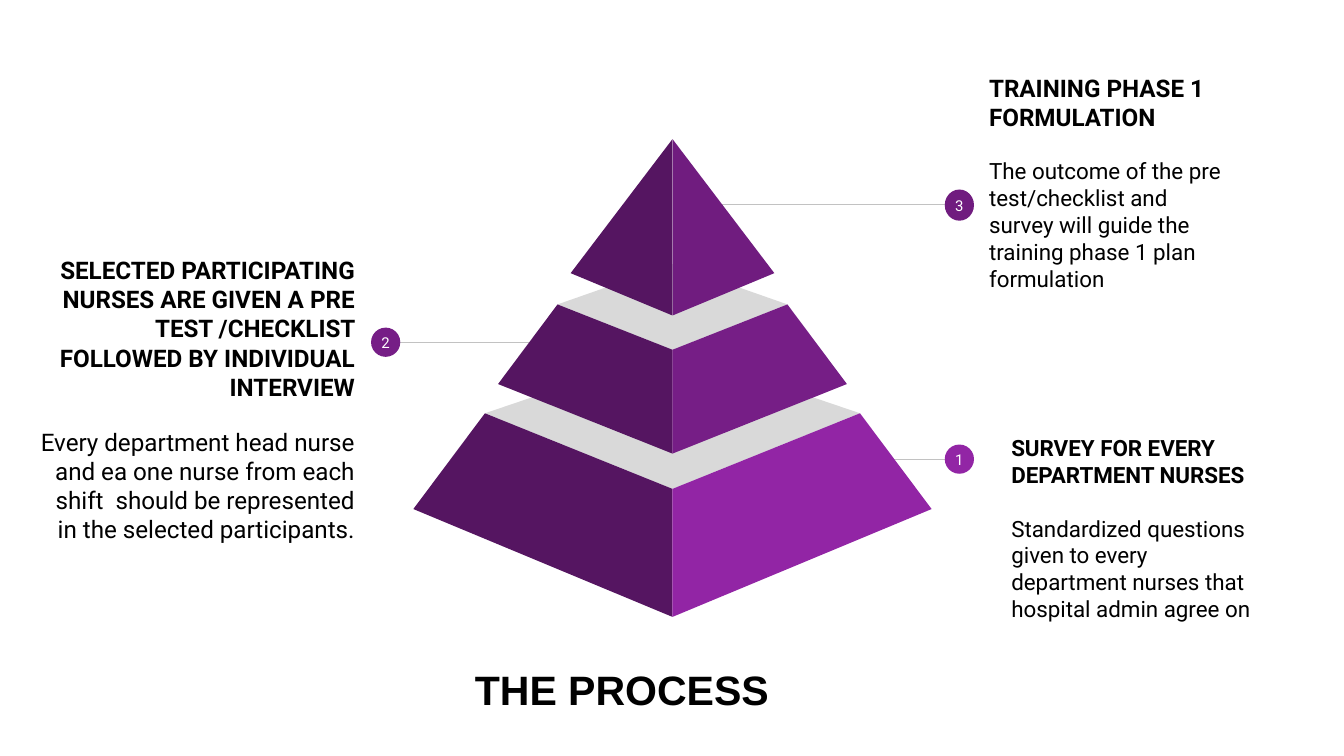
from pptx import Presentation
from pptx.dml.color import RGBColor
from pptx.enum.shapes import MSO_CONNECTOR, MSO_SHAPE
from pptx.enum.text import MSO_ANCHOR, MSO_AUTO_SIZE, PP_ALIGN
from pptx.util import Pt
from lxml import etree

LEFT, RIGHT, MID = PP_ALIGN.LEFT, PP_ALIGN.RIGHT, PP_ALIGN.CENTER
TOP, CENTER = MSO_ANCHOR.TOP, MSO_ANCHOR.MIDDLE
OVAL, STRAIGHT = MSO_SHAPE.OVAL, MSO_CONNECTOR.STRAIGHT
PX = 9144  # 100 px to the inch

COLORS = {
    "ink": "000000", "white": "FFFFFF", "rule": "C2C2C2", "lid": "D9D9D9",
    "dark": "551561", "low": "9225A5", "middle": "761E86", "high": "701C7F",
}

TITLE = "THE PROCESS"
TITLE_BOX = (458, 646, 360, 76)

STEPS = [
    {"num": "1", "color": "low", "line": (880, 965, 456),
     "dot": (937, 441, 29, 29), "box": (990, 423, 272, 202),
     "align": LEFT, "sizes": (16, 16),
     "head": "SURVEY FOR EVERY DEPARTMENT NURSES",
     "body": "Standardized questions given to every department nurses that "
             "hospital admin agree on"},
    {"num": "2", "color": "middle", "line": (529, 377, 340),
     "dot": (368, 325, 29, 29), "box": (20, 239, 345, 315),
     "align": RIGHT, "sizes": (17.3, 17.3),
     "head": "SELECTED PARTICIPATING NURSES ARE GIVEN A PRE TEST /CHECKLIST "
             "FOLLOWED BY INDIVIDUAL INTERVIEW",
     "body": "Every department head nurse and ea one nurse from each shift  "
             "should be represented in the selected participants."},
    {"num": "3", "color": "high", "line": (716, 966, 203),
     "dot": (937, 188, 29, 31), "box": (968, 53, 272, 256),
     "align": LEFT, "sizes": (17.3, 16),
     "head": "TRAINING PHASE 1 FORMULATION",
     "body": "The outcome of the pre test/checklist and survey will guide the "
             "training phase 1 plan formulation"},
]

# Half widths are measured from the axis; the rest are heights on the slide.
AXIS = 667
TIERS = [
    {"color": "low", "back": 347, "brim": (186, 410), "front": 485,
     "base": (257, 505), "foot": 612},
    {"color": "middle", "back": 262, "brim": (114, 302), "front": 347,
     "base": (173, 381), "foot": 450},
    {"color": "high", "back": None, "brim": (0, 138), "front": 138,
     "base": (101, 271), "foot": 313},
]


def rgb(name):
    return RGBColor.from_string(COLORS[name])


def emu(box):
    return [n * PX for n in box]


def style(obj, **values):
    for name, value in values.items():
        setattr(obj, name, value)


def paint(shape, color):
    shape.shadow.inherit = False
    shape.fill.solid()
    shape.fill.fore_color.rgb = rgb(color)
    shape.line.fill.background()


def set_frame(frame, inset, anchor):
    pad = inset * PX
    style(frame, word_wrap=True, auto_size=MSO_AUTO_SIZE.NONE,
          vertical_anchor=anchor, margin_left=pad, margin_right=pad,
          margin_top=pad, margin_bottom=pad)


def write(para, text, size, align, color="ink", bold=False, name="Roboto"):
    run = para.add_run()
    run.text = text
    para.alignment = align
    style(run.font, size=Pt(size), bold=bold, name=name)
    run.font.color.rgb = rgb(color)


def add_face(slide, points, color):
    pen = slide.shapes.build_freeform(*points[0], scale=PX)
    pen.add_line_segments(points[1:], close=True)
    paint(pen.convert_to_shape(), color)


def add_step(slide, step):
    start, end, y = step["line"]
    rule = slide.shapes.add_connector(STRAIGHT, *emu((start, y, end, y)))
    rule.line.color.rgb = rgb("rule")
    rule.line.width = Pt(0.75)
    props = rule._element.spPr
    etree.SubElement(props, props.tag.replace("}spPr", "}effectLst").replace(
        "presentationml", "drawingml").replace("2006/main", "2006/main"))

    frame = slide.shapes.add_textbox(*emu(step["box"])).text_frame
    set_frame(frame, 13, CENTER)
    big, small = step["sizes"]
    head = frame.paragraphs[0]
    write(head, step["head"], big, step["align"], bold=True)
    head.space_after = Pt(19)
    write(frame.add_paragraph(), step["body"], small, step["align"])

    dot = slide.shapes.add_shape(OVAL, *emu(step["dot"]))
    paint(dot, step["color"])
    set_frame(dot.text_frame, 0, CENTER)
    write(dot.text_frame.paragraphs[0], step["num"], 10.7, MID, "white")


def add_tier(slide, tier):
    brim, brim_y = tier["brim"]
    base, base_y = tier["base"]
    front = (AXIS, tier["front"])
    if tier["back"]:
        add_face(slide, [(AXIS - brim, brim_y), front, (AXIS + brim, brim_y),
                         (AXIS, tier["back"])], "lid")
    for side, color in ((-1, "dark"), (1, tier["color"])):
        add_face(slide, [(AXIS + side * brim, brim_y),
                         (AXIS + side * base, base_y),
                         (AXIS, tier["foot"]), front], color)


def main():
    deck = Presentation()
    style(deck, slide_width=1333 * PX, slide_height=750 * PX)
    slide = deck.slides.add_slide(deck.slide_layouts[5])
    for step in STEPS:
        add_step(slide, step)
    for tier in TIERS:
        add_tier(slide, tier)

    title = slide.shapes.title
    left, top, width, height = emu(TITLE_BOX)
    style(title, left=left, top=top, width=width, height=height)
    set_frame(title.text_frame, 13, TOP)
    write(title.text_frame.paragraphs[0], TITLE, 29.3, LEFT, bold=True,
          name="Arial")
    deck.save("out.pptx")


if __name__ == "__main__":
    main()
